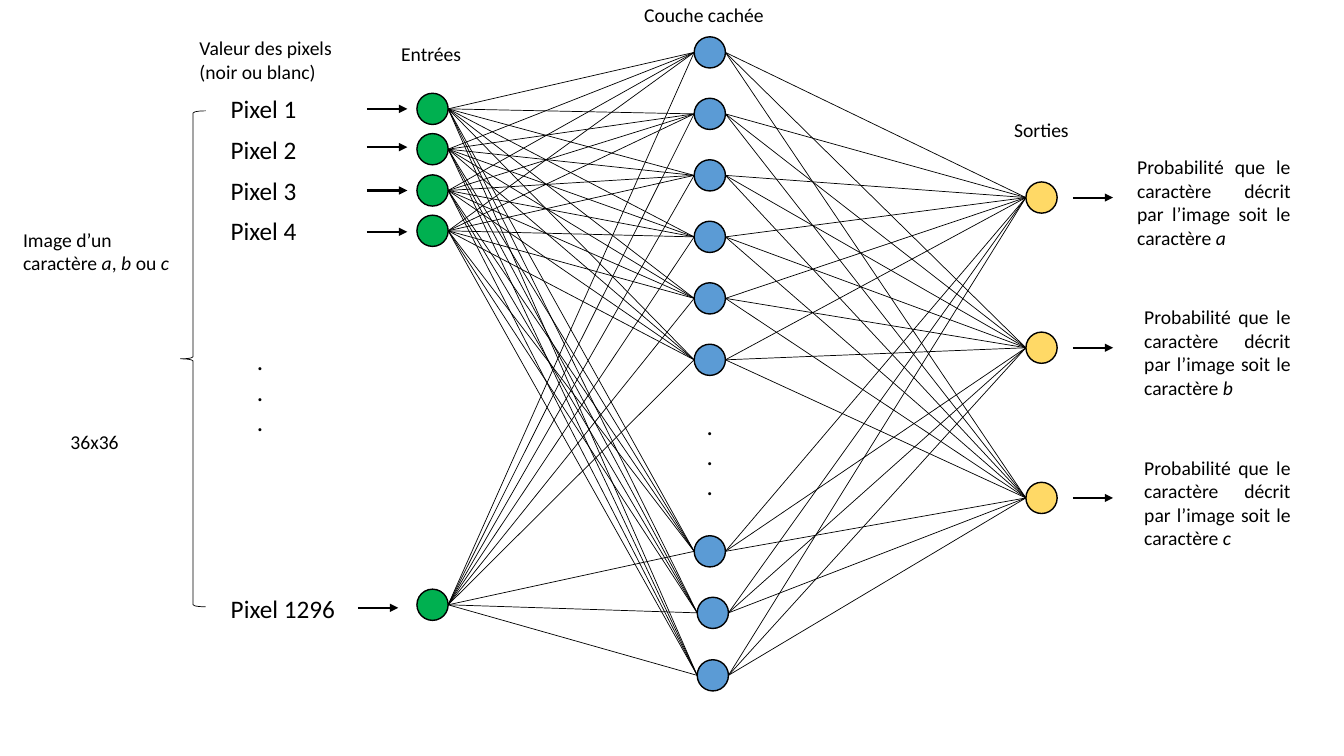
from dataclasses import dataclass
from itertools import product

from pptx import Presentation
from pptx import util as u
from pptx.dml.color import RGBColor
from pptx.enum import shapes, text
from pptx.oxml.ns import qn
from lxml import etree


@dataclass(frozen=True)
class Theme:
    """Colours, type sizes and line widths of the slide."""
    font: str = "Calibri"
    ink: str = "000000"
    entry: str = "00B050"
    hidden: str = "5B9BD5"
    output: str = "FFD966"
    label: int = 14
    pixel: int = 18
    thin: float = 0.5
    outline: float = 1
    arrow: float = 1.5
    node: float = 0.31


THEME = Theme()
DOTS = ". . ."


def add_text(slide, box, runs, size=THEME.label, align=text.PP_ALIGN.LEFT):
    """Write one paragraph in box; odd-numbered runs are italic."""
    label = slide.shapes.add_textbox(*map(u.Inches, box))
    frame = label.text_frame
    frame.word_wrap = True
    frame.auto_size = text.MSO_AUTO_SIZE.SHAPE_TO_FIT_TEXT
    paragraph = frame.paragraphs[0]
    paragraph.alignment = align
    paragraph.font.name = THEME.font
    paragraph.font.size = u.Pt(size)
    paragraph.font.color.rgb = RGBColor.from_string(THEME.ink)
    for index, words in enumerate(runs):
        run = paragraph.add_run()
        run.text = words
        if index % 2:
            run.font.italic = True


def add_line(slide, start, end, width=THEME.thin, arrow=False):
    """Draw a straight line between two points, with an optional arrowhead."""
    link = slide.shapes.add_connector(
        shapes.MSO_CONNECTOR.STRAIGHT, *map(u.Inches, (*start, *end)))
    link.line.width = u.Pt(width)
    link.line.color.rgb = RGBColor.from_string(THEME.ink)
    if arrow:
        etree.SubElement(link.line._get_or_add_ln(), qn("a:tailEnd"), type="triangle")
    etree.SubElement(link._element.spPr, qn("a:effectLst"))


def add_arrow(slide, left, middle):
    """Draw a short arrow to the right."""
    add_line(slide, (left, middle), (left + 0.4, middle), THEME.arrow, True)


def add_layer(slide, centres, colour):
    """Draw one round neuron on each centre."""
    for x, y in centres:
        corner = (x - THEME.node / 2, y - THEME.node / 2)
        neuron = slide.shapes.add_shape(
            shapes.MSO_SHAPE.FLOWCHART_CONNECTOR,
            *map(u.Inches, (*corner, THEME.node, THEME.node)))
        neuron.shadow.inherit = False
        neuron.fill.solid()
        neuron.fill.fore_color.rgb = RGBColor.from_string(colour)
        neuron.line.color.rgb = RGBColor.from_string(THEME.ink)
        neuron.line.width = u.Pt(THEME.outline)


def add_links(slide, sources, targets):
    """Link every neuron of one layer to every neuron of the next."""
    radius = THEME.node / 2
    for (x1, y1), (x2, y2) in product(sources, targets):
        add_line(slide, (x1 + radius, y1), (x2 - radius, y2))


def add_image_description(slide, left, top):
    """Describe the source image and its brace."""
    add_text(slide, (left, top + 1.11, 1.71, 0.57),
             ("Image d’un caractère ", "a", ", ", "b", " ou ", "c"))
    add_text(slide, (left + 0.47, top + 3.12, 0.68, 0.34), ["36x36"])
    brace = slide.shapes.add_shape(
        shapes.MSO_SHAPE.LEFT_BRACE,
        *map(u.Inches, (left + 1.66, top, 0.25, 4.92)))
    brace.shadow.inherit = False
    brace.fill.background()
    brace.line.color.rgb = RGBColor.from_string(THEME.ink)
    brace.line.width = u.Pt(THEME.thin)


def add_pixels(slide, left, top):
    """List the pixel values with their arrows."""
    add_text(slide, (left, top, 1.58, 0.57), ["Valeur des pixels (noir ou blanc)"])
    pixels = (
        (1, 0.57, 0.97, 1.76, 0.77),
        (2, 0.97, 0.97, 1.76, 1.15),
        (3, 1.38, 0.97, 1.76, 1.58),
        (4, 1.78, 0.97, 1.76, 1.99),
        (1296, 5.53, 1.38, 1.67, 5.72),
    )
    for number, offset, width, arrow_left, arrow_middle in pixels:
        add_text(slide, (left + 0.31, top + offset, width, 0.4),
                 [f"Pixel {number}"], THEME.pixel)
        add_arrow(slide, left + arrow_left, top + arrow_middle)
    add_text(slide, (left + 0.57, top + 3.07, 0.29, 1.01), [DOTS], THEME.pixel)


def add_network(slide, left, top):
    """Draw the three layers, their links and their captions."""
    entries = [(left + 0.15, top + y) for y in (1.08, 1.48, 1.89, 2.29, 6)]
    hidden = [(left + 2.9, top + 0.52 + 0.61 * row) for row in range(6)]
    hidden += [(left + x, top + y) for x, y in ((2.9, 5.47), (2.93, 6.08), (2.93, 6.7))]
    outputs = [(left + 6.19, top + 1.96 + 1.49 * row) for row in range(3)]
    for centres, colour in ((entries, THEME.entry), (hidden, THEME.hidden),
                            (outputs, THEME.output)):
        add_layer(slide, centres, colour)
    add_links(slide, entries, hidden)
    add_links(slide, hidden, outputs)
    add_text(slide, (left + 2.77, top + 4.02, 0.29, 1.01), [DOTS], THEME.pixel)
    for caption, x, y, width in (("Entrées", -0.26, 0.37, 0.83),
                                 ("Couche cachée", 2.15, -0.02, 1.56),
                                 ("Sorties", 5.82, 1.12, 0.75)):
        add_text(slide, (left + x, top + y, width, 0.34), [caption])


def add_probabilities(slide, left, top):
    """Explain each output beside its arrow."""
    right = left + 2.26
    for row, (letter, width) in enumerate((("a", 1.72), ("b", 1.65), ("c", 1.65))):
        row_top = top + 1.49 * row
        add_arrow(slide, left, row_top + 0.47)
        add_text(slide, (right - width, row_top, width, 1.04),
                 ("Probabilité que le caractère décrit par l’image soit le caractère ",
                  letter), align=text.PP_ALIGN.JUSTIFY)


def main():
    """Build and save the slide."""
    deck = Presentation()
    deck.slide_width = u.Inches(13.33)
    deck.slide_height = u.Inches(7.5)
    slide = deck.slides.add_slide(deck.slide_layouts[6])
    add_image_description(slide, 0.13, 1.1)
    add_pixels(slide, 1.88, 0.31)
    add_network(slide, 4.14, 0)
    add_probabilities(slide, 10.64, 1.49)
    deck.save("out.pptx")


if __name__ == "__main__":
    main()
